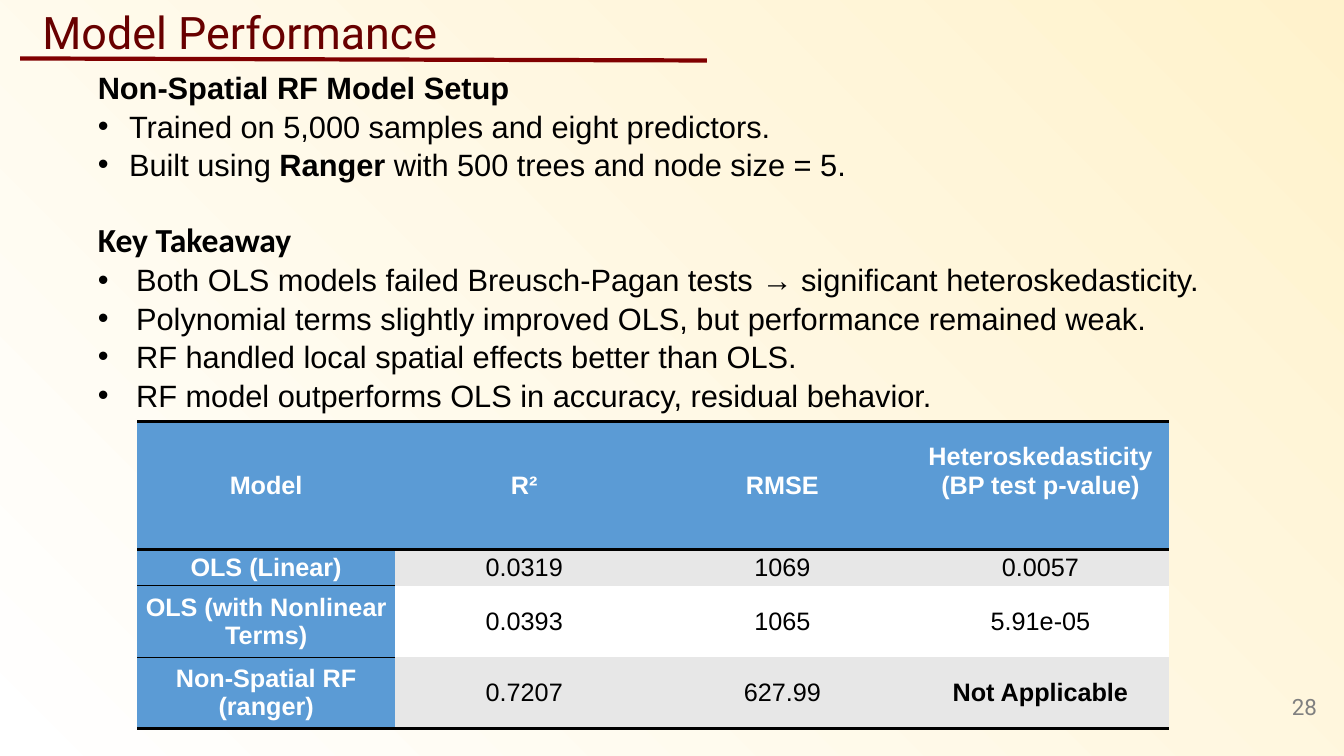
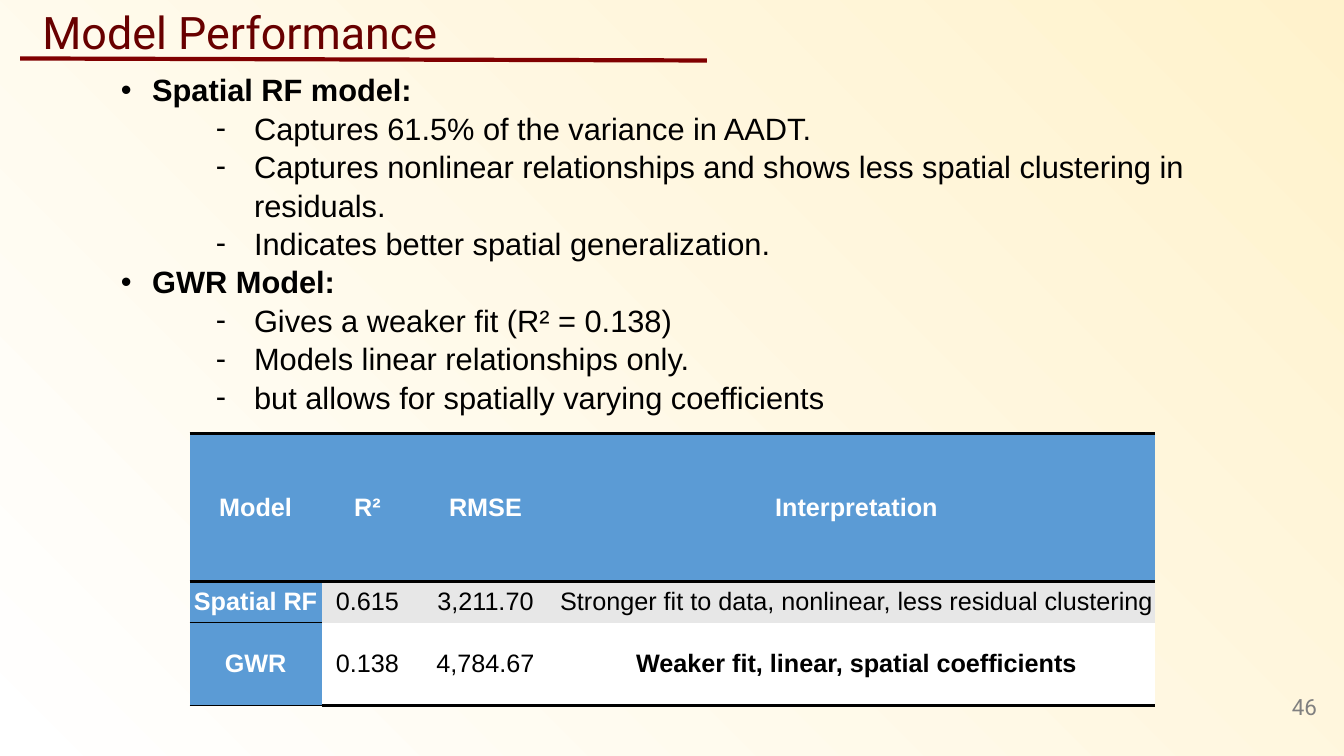
from dataclasses import dataclass

from lxml.etree import SubElement
from pptx import Presentation
from pptx.dml.color import RGBColor as RGB
from pptx.enum.shapes import MSO_CONNECTOR as CONNECTOR
from pptx.enum.text import MSO_ANCHOR as ANCHOR, MSO_AUTO_SIZE as AUTO_SIZE, PP_ALIGN as ALIGN
from pptx.oxml import parse_xml
from pptx.oxml.ns import nsdecls, qn
from pptx.util import Inches, Pt


@dataclass(frozen=True)
class Theme:
    cream: RGB = RGB(0xFF, 0xF2, 0xCC)
    white: RGB = RGB(0xFF, 0xFF, 0xFF)
    black: RGB = RGB(0, 0, 0)
    maroon: RGB = RGB(0x68, 0, 0)
    rule: RGB = RGB(0x80, 0, 0)
    gray: RGB = RGB(0x80, 0x80, 0x80)
    blue: RGB = RGB(0x5B, 0x9B, 0xD5)
    band: RGB = RGB(0xE7, 0xE7, 0xE7)
    title_font: str = "Roboto"
    body_font: str = "Arial"
    takeaway_font: str = "Calibri"
    title_size: int = 32
    takeaway_size: int = 24
    body_size: int = 22
    table_size: int = 18
    number_size: int = 16
    thick: int = 2
    thin: int = 1


THEME = Theme()
NO_GRID_STYLE = "{2D5ABB26-0587-4C30-8999-92F81FD0307C}"

LINE_STYLES = {
    "heading": (0, 0, 0, None),
    "takeaway": (0, 0, 0, None),
    "bullet": (0, 0.31, -0.31, "•"),
    "wide bullet": (0, 0.38, -0.38, "•"),
    "dash": (1, 1.32, -0.38, "-"),
}

SLIDES = [
    {
        "number": "28",
        "body_box": (0.87, 0.62, 11.81, 3.47),
        "lines": [
            ("heading", "**Non-Spatial RF Model Setup**"),
            ("bullet", "Trained on 5,000 samples and eight predictors."),
            ("bullet", "Built using **Ranger** with 500 trees and node size = 5."),
            ("takeaway", "**Key Takeaway**"),
            ("wide bullet", "Both OLS models failed Breusch-Pagan tests **→ **significant heteroskedasticity."),
            ("wide bullet", "Polynomial terms slightly improved OLS, but performance remained weak."),
            ("wide bullet", "RF handled local spatial effects better than OLS."),
            ("wide bullet", "RF model outperforms OLS in accuracy, residual behavior."),
        ],
        "table_at": (1.36, 4.18),
        "columns": [2.56] * 4,
        "rows": [1.27, 0.36, 0.71, 0.71],
        "last_header_bottom": 0.28,
        "corner_border": THEME.thick,
        "cells": [
            ["Model", "R²", "RMSE", "Heteroskedasticity (BP test p-value)"],
            ["OLS (Linear)", "0.0319", "1069", "0.0057"],
            ["OLS (with Nonlinear Terms)", "0.0393", "1065", "5.91e-05"],
            ["Non-Spatial RF (ranger)", "0.7207", "627.99", "Not Applicable"],
        ],
    },
    {
        "number": "46",
        "body_box": (1.1, 0.64, 11.81, 4.54),
        "lines": [
            ("bullet", "**Spatial RF model:**"),
            ("dash", "Captures 61.5% of the variance in AADT."),
            ("dash", "Captures nonlinear relationships and shows less spatial clustering in residuals."),
            ("dash", "Indicates better spatial generalization."),
            ("bullet", "**GWR Model:**"),
            ("dash", "Gives a weaker fit (R² = 0.138)"),
            ("dash", "Models linear relationships only."),
            ("dash", "but allows for spatially varying coefficients"),
        ],
        "table_at": (1.88, 4.3),
        "columns": [1.31, 0.91, 1.43, 5.93],
        "rows": [1.47, 0.41, 0.82],
        "last_header_bottom": 0,
        "corner_border": THEME.thin,
        "cells": [
            ["Model", "R²", "RMSE", "Interpretation"],
            ["Spatial RF", "0.615", "3,211.70", "Stronger fit to data, nonlinear, less residual clustering"],
            ["GWR", "0.138", "4,784.67", "Weaker fit, linear, spatial coefficients"],
        ],
    },
]


def style_font(font, name, size, color, bold=False):
    font.name = name
    font.size = Pt(size)
    font.color.rgb = color
    font.bold = bold


def place(shape, left, top, width, height):
    shape.left, shape.top = Inches(left), Inches(top)
    shape.width, shape.height = Inches(width), Inches(height)


prs = Presentation()
prs.slide_width, prs.slide_height = Inches(13.33), Inches(7.5)

backdrop = prs.slide_master.background.fill
backdrop.gradient()
backdrop.gradient_angle = 225
for stop, color, position in zip(backdrop.gradient_stops, (THEME.cream, THEME.white), (0, 1)):
    stop.color.rgb = color
    stop.position = position

for content in SLIDES:
    slide = prs.slides.add_slide(prs.slide_layouts[1])

    underline = slide.shapes.add_connector(
        CONNECTOR.STRAIGHT, Inches(0.2), Inches(0.58), Inches(7.01), Inches(0.6)
    )
    underline.line.color.rgb = THEME.rule
    underline.line.width = Pt(3)
    SubElement(underline.element.spPr, qn("a:effectLst"))

    title = slide.shapes.title
    place(title, 0.32, 0, 10.03, 0.64)
    heading = title.text_frame
    heading.text = "Model Performance"
    heading.vertical_anchor = ANCHOR.TOP
    heading.auto_size = AUTO_SIZE.SHAPE_TO_FIT_TEXT
    heading.paragraphs[0].alignment = ALIGN.LEFT
    style_font(heading.paragraphs[0].runs[0].font, THEME.title_font, THEME.title_size, THEME.maroon)

    number = slide.shapes.add_textbox(Inches(12.49), Inches(6.81), Inches(0.67), Inches(0.4)).text_frame
    number.text = content["number"]
    number.word_wrap = True
    number.vertical_anchor = ANCHOR.MIDDLE
    number.paragraphs[0].alignment = ALIGN.RIGHT
    style_font(number.paragraphs[0].runs[0].font, THEME.title_font, THEME.number_size, THEME.gray)

    body = slide.placeholders[1]
    place(body, *content["body_box"])
    findings = body.text_frame
    findings.vertical_anchor = ANCHOR.TOP
    findings.auto_size = AUTO_SIZE.SHAPE_TO_FIT_TEXT
    for index, (kind, text) in enumerate(content["lines"]):
        line = findings.add_paragraph() if index else findings.paragraphs[0]
        level, margin, indent, bullet = LINE_STYLES[kind]
        takeaway = kind == "takeaway"
        line.level = level
        line.line_spacing = 1.0 if takeaway else 1.04
        line.space_before = Pt(26 if takeaway else 0)
        properties = line._p.get_or_add_pPr()
        properties.set("marL", str(Inches(margin)))
        properties.set("indent", str(Inches(indent)))
        if bullet:
            SubElement(properties, qn("a:buChar"), char=bullet)
        else:
            SubElement(properties, qn("a:buNone"))
        for part, words in enumerate(text.split("**")):
            if words:
                run = line.add_run()
                run.text = words
                style_font(
                    run.font,
                    THEME.takeaway_font if takeaway else THEME.body_font,
                    THEME.takeaway_size if takeaway else THEME.body_size,
                    THEME.black,
                    part % 2 == 1,
                )

    columns, rows, cells = content["columns"], content["rows"], content["cells"]
    left, top = content["table_at"]
    frame = slide.shapes.add_table(
        len(rows), len(columns), Inches(left), Inches(top), Inches(sum(columns)), Inches(sum(rows))
    )
    frame.element.find(".//" + qn("a:tableStyleId")).text = NO_GRID_STYLE
    results = frame.table
    for column, width in zip(results.columns, columns):
        column.width = Inches(width)
    for row, height in zip(results.rows, rows):
        row.height = Inches(height)

    last_row, last_column = len(rows) - 1, len(columns) - 1
    for r, values in enumerate(cells):
        for c, value in enumerate(values):
            cell = results.cell(r, c)
            label = r == 0 or c == 0
            cell.text = value
            cell.vertical_anchor = ANCHOR.MIDDLE
            cell.margin_left = cell.margin_right = Inches(0.02)
            cell.margin_top = cell.margin_bottom = 0
            if r == 0 and c == last_column:
                cell.margin_bottom = Inches(content["last_header_bottom"])
            cell.fill.solid()
            cell.fill.fore_color.rgb = THEME.blue if label else THEME.band if r % 2 else THEME.white
            cell.text_frame.paragraphs[0].alignment = ALIGN.CENTER
            style_font(
                cell.text_frame.paragraphs[0].runs[0].font,
                THEME.body_font,
                THEME.table_size,
                THEME.white if label else THEME.black,
                label or (r, c) == (last_row, last_column),
            )

            borders = {}
            if r == 0:
                borders = {"lnT": THEME.thick, "lnB": THEME.thick}
            elif r == last_row:
                borders = {"lnB": THEME.thick if c else content["corner_border"]}
            elif c == 0:
                borders = {"lnB": THEME.thin}
            for position, (side, weight) in enumerate(borders.items()):
                edge = parse_xml(
                    f'<a:{side} {nsdecls("a")} w="{Pt(weight)}"><a:solidFill>'
                    f'<a:srgbClr val="{THEME.black}"/></a:solidFill></a:{side}>'
                )
                cell._tc.get_or_add_tcPr().insert(position, edge)

prs.save("out.pptx")
